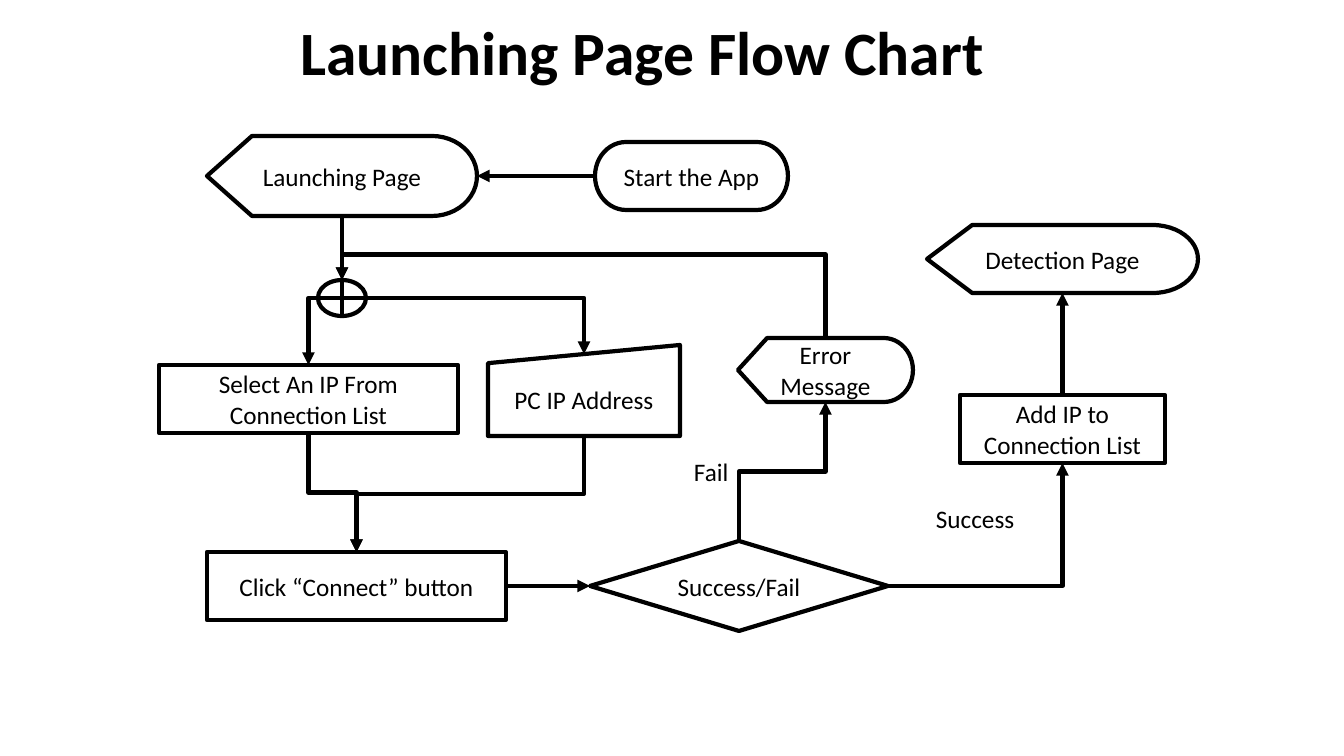
from lxml import etree
from pptx import Presentation
from pptx import util as u
from pptx.dml.color import RGBColor
from pptx.enum import shapes, text
from pptx.oxml import ns

COLORS = {"ink": "000000", "paper": "FFFFFF"}
FONT = "Calibri"
PX = 914400 / 100.8
TOP, LEFT, BOTTOM, RIGHT = range(4)
KIND = shapes.MSO_SHAPE

STEPS = {
    "start": (KIND.FLOWCHART_TERMINATOR, (436, 6, 193, 68), "Start the App"),
    "launching": (KIND.FLOWCHART_DISPLAY, (48, 0, 270, 80), "Launching Page"),
    "address": (KIND.FLOWCHART_MANUAL_INPUT, (329, 209, 192, 91), "PC IP Address"),
    "click": (KIND.FLOWCHART_PROCESS, (48, 416, 299, 68), "Click “Connect” button"),
    "decision": (KIND.FLOWCHART_DECISION, (431, 405, 298, 90), "Success/Fail"),
    "error": (KIND.FLOWCHART_DISPLAY, (579, 202, 175, 64), "Error Message"),
    "add": (KIND.FLOWCHART_PROCESS, (801, 259, 205, 68), "Add IP to Connection List"),
    "detection": (KIND.FLOWCHART_DISPLAY, (768, 89, 271, 68), "Detection Page"),
    "select": (KIND.FLOWCHART_PROCESS, (0, 229, 299, 68), "Select An IP From Connection List"),
    "junction": (KIND.FLOWCHART_OR, (159, 144, 48, 36), ""),
}
OUTCOMES = {"Fail": (525, 315, 59, 40), "Success": (767, 362, 103, 40)}
STRAIGHT = [
    ("start", LEFT, "launching", RIGHT),
    ("launching", BOTTOM, "junction", TOP),
    ("click", RIGHT, "decision", LEFT),
    ("add", TOP, "detection", BOTTOM),
]
ONE_BEND = [
    ("junction", LEFT, "select", TOP),
    ("junction", RIGHT, "address", TOP),
    ("decision", RIGHT, "add", BOTTOM),
]
TWO_BENDS = [
    ("error", TOP, "junction", TOP, 1.44),
    ("address", BOTTOM, "click", TOP, 0.5),
    ("select", BOTTOM, "click", TOP, 0.5),
    ("decision", TOP, "error", BOTTOM, 0.5),
]


def px(length):
    return u.Emu(round(length * PX))


def color(name):
    return RGBColor.from_string(COLORS[name])


def write(shape, wording, size, bold=False, align=text.PP_ALIGN.CENTER):
    shape.text_frame.text = wording
    paragraph = shape.text_frame.paragraphs[0]
    paragraph.alignment = align
    paragraph.font.name = FONT
    paragraph.font.size = u.Pt(size)
    paragraph.font.bold = bold
    paragraph.font.color.rgb = color("ink")


def outline(shape):
    shape.line.color.rgb = color("ink")
    shape.line.width = u.Pt(3)


def place_title(slide, box):
    title = slide.shapes.title
    title.left, title.top, title.width, title.height = map(px, box)
    write(title, "Launching Page Flow Chart", 44, bold=True)


def add_step(slide, kind, box, wording):
    step = slide.shapes.add_shape(kind, *map(px, box))
    step.shadow.inherit = False
    step.fill.solid()
    step.fill.fore_color.rgb = color("paper")
    outline(step)
    if wording:
        step.text_frame.vertical_anchor = text.MSO_ANCHOR.MIDDLE
        write(step, wording, 18)
    return step


def add_outcome(slide, box, wording):
    outcome = slide.shapes.add_textbox(*map(px, box))
    outcome.text_frame.word_wrap = True
    write(outcome, wording, 18, align=text.PP_ALIGN.LEFT)


def add_arrow(slide, kind, start, end):
    arrow = slide.shapes.add_connector(kind, *map(round, (*start, *end)))
    outline(arrow)
    etree.SubElement(arrow.line._get_or_add_ln(), ns.qn("a:tailEnd"), type="triangle")
    etree.SubElement(arrow._element.spPr, ns.qn("a:effectLst"))
    return arrow


def side(step, index):
    x, y = step.left + step.width / 2, step.top + step.height / 2
    slope = step.height / 10 if step.auto_shape_type == KIND.FLOWCHART_MANUAL_INPUT else 0
    return [
        (x, step.top + slope),
        (step.left, y),
        (x, step.top + step.height),
        (step.left + step.width, y),
    ][index]


def add_one_bend(slide, start, end):
    arrow = add_arrow(slide, shapes.MSO_CONNECTOR.ELBOW, start, end)
    arrow._element.spPr.find(ns.qn("a:prstGeom")).set("prst", "bentConnector2")


def add_two_bends(slide, start, end, bend):
    (x1, y1), (x2, y2) = start, end
    x, y = (x1 + x2) / 2, (y1 + y2) / 2
    turn = 1 if y2 > y1 else -1
    run, rise = abs(y2 - y1) / 2, turn * (x1 - x2) / 2
    arrow = add_arrow(slide, shapes.MSO_CONNECTOR.ELBOW, (x - run, y - rise), (x + run, y + rise))
    properties = arrow._element.spPr
    properties.find(ns.qn("a:xfrm")).set("rot", str(turn * 90 % 360 * 60000))
    adjustments = properties.find(ns.qn("a:prstGeom")).find(ns.qn("a:avLst"))
    etree.SubElement(adjustments, ns.qn("a:gd"), name="adj1", fmla=f"val {round(bend * 100000)}")


def place_flow(slide, left, top):
    def shifted(box):
        return left + box[0], top + box[1], box[2], box[3]

    steps = {
        name: add_step(slide, kind, shifted(box), wording)
        for name, (kind, box, wording) in STEPS.items()
    }
    for wording, box in OUTCOMES.items():
        add_outcome(slide, shifted(box), wording)
    for source, leaving, target, entering in STRAIGHT:
        start, end = side(steps[source], leaving), side(steps[target], entering)
        arrow = add_arrow(slide, shapes.MSO_CONNECTOR.STRAIGHT, start, end)
        arrow.begin_connect(steps[source], leaving)
        arrow.end_connect(steps[target], entering)
    for source, leaving, target, entering in ONE_BEND:
        add_one_bend(slide, side(steps[source], leaving), side(steps[target], entering))
    for source, leaving, target, entering, bend in TWO_BENDS:
        add_two_bends(slide, side(steps[source], leaving), side(steps[target], entering), bend)


def main():
    deck = Presentation()
    deck.slide_width, deck.slide_height = px(1344), px(756)
    slide = deck.slides.add_slide(deck.slide_layouts[5])
    place_title(slide, (273, 8, 739, 85))
    place_flow(slide, 159, 136)
    deck.save("out.pptx")


if __name__ == "__main__":
    main()
